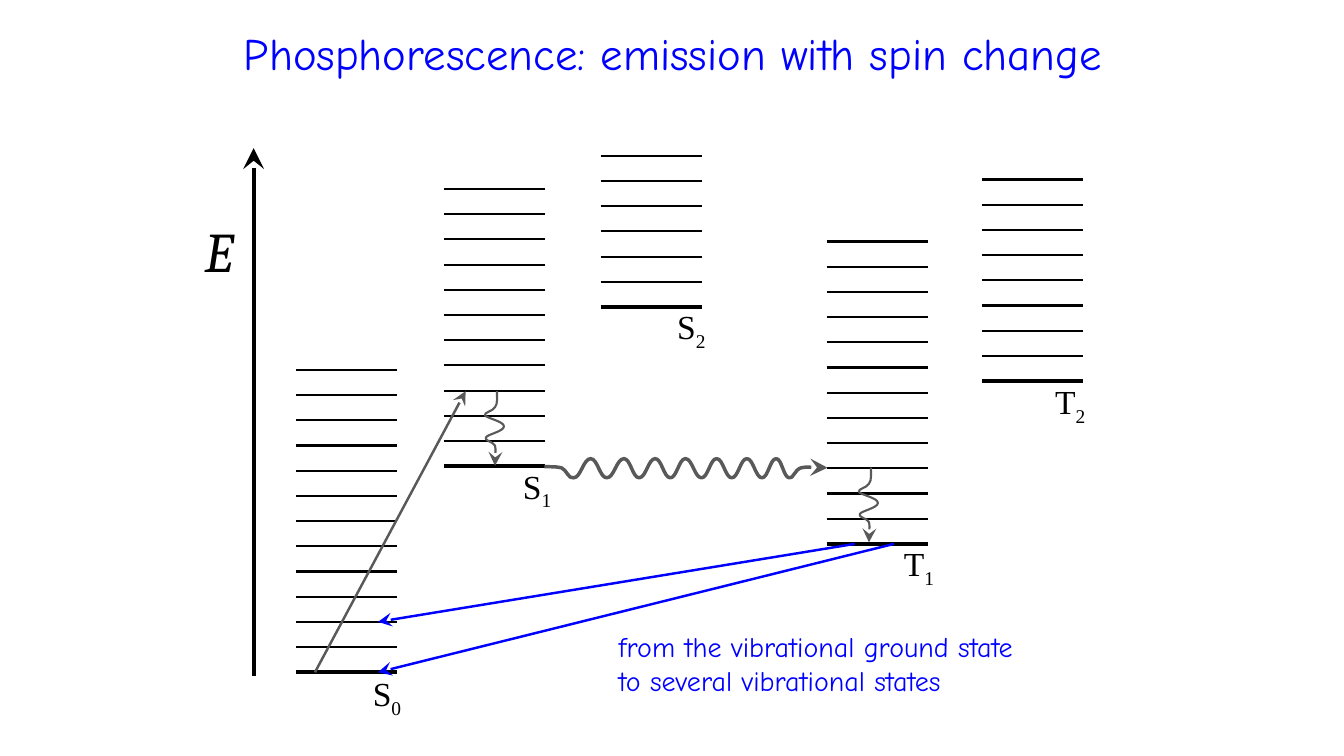
from lxml import etree
from pptx import Presentation
from pptx.dml.color import RGBColor
from pptx.enum.shapes import MSO_CONNECTOR
from pptx.enum.text import MSO_AUTO_SIZE, PP_ALIGN
from pptx.oxml.ns import qn
from pptx.util import Pt

STRAIGHT = MSO_CONNECTOR.STRAIGHT
GROW = MSO_AUTO_SIZE.SHAPE_TO_FIT_TEXT
LEFT, CENTER = PP_ALIGN.LEFT, PP_ALIGN.CENTER
BLACK, GRAY, BLUE = "000000", "595959", "0000FF"
HAND, SERIF, MATH = "Comic Neue", "Times New Roman", "Cambria"

# Content: all lengths in points
TITLE = "Phosphorescence: emission with spin change"
NOTE = ["from the vibrational ground state", "to several vibrational states"]
LEVEL_WIDTH, LEVEL_GAP = 72.2, 18

# letter, subscript, left, ground level y, number of levels, label left, label top
LADDERS = [
    ("S", "0", 211.5, 480.2, 13, 259.2, 477.4),
    ("S", "1", 317.1, 333, 12, 366.5, 329),
    ("S", "2", 429.1, 219.3, 7, 476.6, 215.3),
    ("T", "1", 590.6, 388.5, 13, 638.6, 384.5),
    ("T", "2", 701.3, 272.2, 9, 746.6, 268.6),
]

# start, end, colour, width
AXIS = ((181.2, 483.1), (181.2, 105.8), BLACK, 3)
ABSORPTION = ((225, 480.2), (332.6, 279.4), GRAY, 1.75)
EMISSIONS = [
    ((610.6, 388.5), (270, 444.2), BLUE, 1.75),
    ((638.6, 388.5), (270, 480.2), BLUE, 1.75),
]

# Vibrational relaxation: Bezier points relative to the start of each arrow
RELAXATION_STARTS = [(355, 279.4), (622.1, 334.1)]
RELAXATION = [
    (0, 0),
    (0, 2.9), (0.7, 9.4), (-1.4, 11.5),
    (-2.9, 14.4), (-9.4, 15.1), (-8.6, 17.3),
    (-7.2, 19.4), (5, 21.6), (5, 25.2),
    (5, 28.8), (-7.2, 31), (-7.9, 33.1),
    (-9.4, 35.3), (-2.9, 36), (-1.4, 38.9),
    (-0.7, 42.5), (-1.4, 50.4), (-1.4, 53.3),
]

# Intersystem crossing: lead-in, alternating troughs and crests, lead-out
WAVE_START = [(388.8, 333.4), (397.4, 333.4), (397.4, 333.4), (401, 334.1),
              (404.6, 335.5), (406.1, 342.3), (409.7, 341.3)]
WAVE_TURNS = [409.7, 421.9, 433.4, 445.7, 456.5, 468, 478.8, 489.6,
              501.1, 511.9, 522.7, 533.5, 544.3, 554.4, 563.8]
WAVE_END = [(566.6, 342.3), (567.4, 335.5), (572.4, 334.1),
            (576.7, 333.4), (588.2, 334.1), (591.1, 334.1)]
TROUGH, CREST = 341.3, 327.6

presentation = Presentation()
presentation.slide_width, presentation.slide_height = Pt(960), Pt(540)
slide = presentation.slides.add_slide(presentation.slide_layouts[6])
shapes = slide.shapes


def color(hex_string):
    return RGBColor.from_string(hex_string)


def style_line(shape, line_color, width, arrow):
    shape.line.color.rgb = color(line_color)
    shape.line.width = Pt(width)
    if arrow:
        outline = shape.line._get_or_add_ln()
        etree.SubElement(outline, qn("a:tailEnd"), type="stealth", w="lg", len="lg")


def add_line(start, end, line_color, width, arrow=False):
    connector = shapes.add_connector(STRAIGHT, *(Pt(v) for v in start + end))
    style_line(connector, line_color, width, arrow)
    etree.SubElement(connector._element.spPr, qn("a:effectLst"))


def add_curve(points, width):
    """Draw a start point and groups of three Bezier points as an arrow."""
    points = [(Pt(x), Pt(y)) for x, y in points]
    builder = shapes.build_freeform(*points[0])
    builder.add_line_segments(points[1:], close=False)
    shape = builder.convert_to_shape()
    shape.shadow.inherit = False
    shape.fill.background()
    style_line(shape, GRAY, width, True)
    # Join every three straight segments into one cubic curve
    path = shape._element.find(".//" + qn("a:path"))
    segments = path.findall(qn("a:lnTo"))
    for first in range(0, len(segments), 3):
        curve = etree.SubElement(path, qn("a:cubicBezTo"))
        for segment in segments[first:first + 3]:
            curve.append(segment[0])
            path.remove(segment)


def add_text(box, lines, font_name, size, text_color, wrap=False, align=LEFT, italic=False):
    """Each line is a list of (text, is_subscript) runs."""
    frame = shapes.add_textbox(*(Pt(v) for v in box)).text_frame
    frame.word_wrap = wrap
    frame.auto_size = GROW
    paragraph = frame.paragraphs[0]
    paragraph.alignment = align
    for index, line in enumerate(lines):
        if index:
            paragraph.add_line_break()
        for text, is_subscript in line:
            run = paragraph.add_run()
            run.text = text
            run.font.name = font_name
            run.font.size = Pt(size)
            run.font.italic = italic
            run.font.color.rgb = color(text_color)
            if is_subscript:
                run._r.get_or_add_rPr().set("baseline", "-25000")


# Title and energy axis
add_text((139.7, 15.1, 682.6, 46.1), [[(TITLE, False)]], HAND, 32, BLUE, wrap=True, align=CENTER)
add_line(*AXIS, arrow=True)
add_text((139, 151.2, 37.4, 55.4), [[("E", False)]], MATH, 40, BLACK, italic=True)

# Vibrational ladders with state labels
for letter, subscript, left, ground, count, label_left, label_top in LADDERS:
    for level in range(count):
        y = ground - level * LEVEL_GAP
        add_line((left, y), (left + LEVEL_WIDTH, y), BLACK, 1.5 if level else 3)
    add_text((label_left, label_top, 36.5, 36.4),
             [[(letter, False), (subscript, True)]], SERIF, 24, BLACK)

# Absorption and relaxation
add_line(*ABSORPTION, arrow=True)
for start_x, start_y in RELAXATION_STARTS:
    add_curve([(start_x + x, start_y + y) for x, y in RELAXATION], 1.5)

# Intersystem crossing
wave = list(WAVE_START)
for index, (x, next_x) in enumerate(zip(WAVE_TURNS, WAVE_TURNS[1:])):
    y, next_y = (CREST, TROUGH) if index % 2 else (TROUGH, CREST)
    handle = 0.43 * (next_x - x)
    wave += [(x + handle, y), (next_x - handle, next_y), (next_x, next_y)]
add_curve(wave + WAVE_END, 2.5)

# Phosphorescence
add_text((434.9, 446.4, 331.2, 55.4), [[(line, False)] for line in NOTE], HAND, 20, BLUE)
for emission in EMISSIONS:
    add_line(*emission, arrow=True)

presentation.save("out.pptx")
